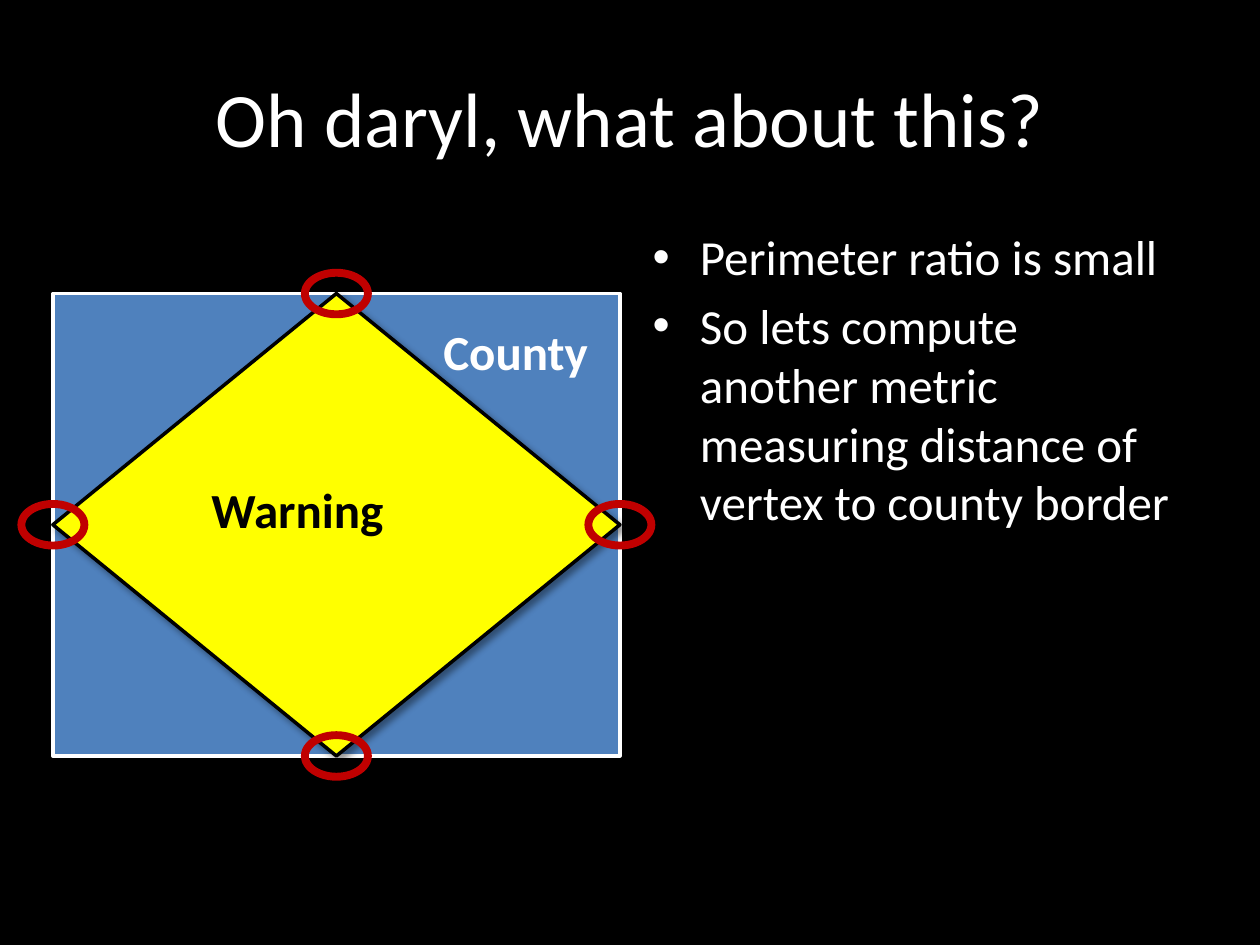
from lxml import etree
from pptx import Presentation
from pptx.dml.color import RGBColor
from pptx.enum.shapes import MSO_SHAPE as Shape
from pptx.enum.text import MSO_ANCHOR as Anchor, PP_ALIGN as Align
from pptx.oxml.ns import qn
from pptx.util import Inches, Pt

BLACK = RGBColor(0x00, 0x00, 0x00)
WHITE = RGBColor(0xFF, 0xFF, 0xFF)
BLUE = RGBColor(0x4F, 0x81, 0xBD)
YELLOW = RGBColor(0xFF, 0xFF, 0x00)
RED = RGBColor(0xC0, 0x00, 0x00)
COUNTY = (0.42, 2.33, 4.5, 3.67)
RING_WIDTH, RING_HEIGHT = 0.5, 0.33


def style_font(font, size, color, bold=False):
    """Set the typeface, size, colour and weight of a font."""
    font.name = "Calibri"
    font.size = Pt(size)
    font.color.rgb = color
    font.bold = bold


def fill_placeholder(holder, bounds, lines, size):
    """Move a placeholder and write one paragraph per line."""
    holder.left, holder.top, holder.width, holder.height = map(Inches, bounds)
    holder.text_frame.text = "\n".join(lines)
    for para in holder.text_frame.paragraphs:
        style_font(para.font, size, WHITE)


def add_outline(page, kind, bounds, fill, line, weight):
    """Add a preset shape with an outline and an optional fill."""
    shape = page.shapes.add_shape(kind, *map(Inches, bounds))
    shape.shadow.inherit = False
    if fill is None:
        shape.fill.background()
    else:
        shape.fill.solid()
        shape.fill.fore_color.rgb = fill
    shape.line.color.rgb = line
    shape.line.width = Pt(weight)
    return shape


def add_shadow(shape):
    """Give a shape a soft black shadow toward the lower right."""
    effects = shape._element.spPr.find(qn("a:effectLst"))
    shadow = etree.SubElement(effects, qn("a:outerShdw"), blurRad=str(Pt(4)),
                              dist=str(Pt(3)), dir=str(45 * 60000),
                              algn="tl", rotWithShape="0")
    color = etree.SubElement(shadow, qn("a:srgbClr"), val=str(BLACK))
    etree.SubElement(color, qn("a:alpha"), val="40000")


def add_ring(page, x, y):
    """Circle the vertex centred at x, y."""
    bounds = (x - RING_WIDTH / 2, y - RING_HEIGHT / 2, RING_WIDTH, RING_HEIGHT)
    add_outline(page, Shape.OVAL, bounds, None, RED, 4.5)


def add_label(page, bounds, text, color):
    """Add a bold text label."""
    box = page.shapes.add_textbox(*map(Inches, bounds))
    box.text_frame.word_wrap = True
    para = box.text_frame.paragraphs[0]
    para.text = text
    style_font(para.font, 28, color, bold=True)


def main():
    """Build the slide and save it."""
    deck = Presentation()
    deck.slide_width, deck.slide_height = Inches(10), Inches(7.5)
    page = deck.slides.add_slide(deck.slide_layouts[1])
    page.background.fill.solid()
    page.background.fill.fore_color.rgb = BLACK

    title, body = page.placeholders
    fill_placeholder(title, (0.5, 0.3, 9, 1.25), ["Oh daryl, what about this?"], 44)
    title.text_frame.vertical_anchor = Anchor.MIDDLE
    title.text_frame.paragraphs[0].alignment = Align.CENTER
    fill_placeholder(body, (5.08, 1.75, 4.42, 4.95), [
        "Perimeter ratio is small",
        "So lets compute another metric measuring distance of vertex to county border",
    ], 28)

    add_outline(page, Shape.RECTANGLE, COUNTY, BLUE, WHITE, 2)
    add_shadow(add_outline(page, Shape.DIAMOND, COUNTY, YELLOW, BLACK, 2))

    left, top, width, height = COUNTY
    middle_x, middle_y = left + width / 2, top + height / 2
    for x, y in ((left + width, middle_y), (left, middle_y),
                 (middle_x, top), (middle_x, top + height)):
        add_ring(page, x, y)

    add_label(page, (3.42, 2.5, 1.42, 0.57), "County", WHITE)
    add_label(page, (1.58, 3.76, 1.92, 0.57), "Warning", BLACK)
    deck.save("out.pptx")


if __name__ == "__main__":
    main()
